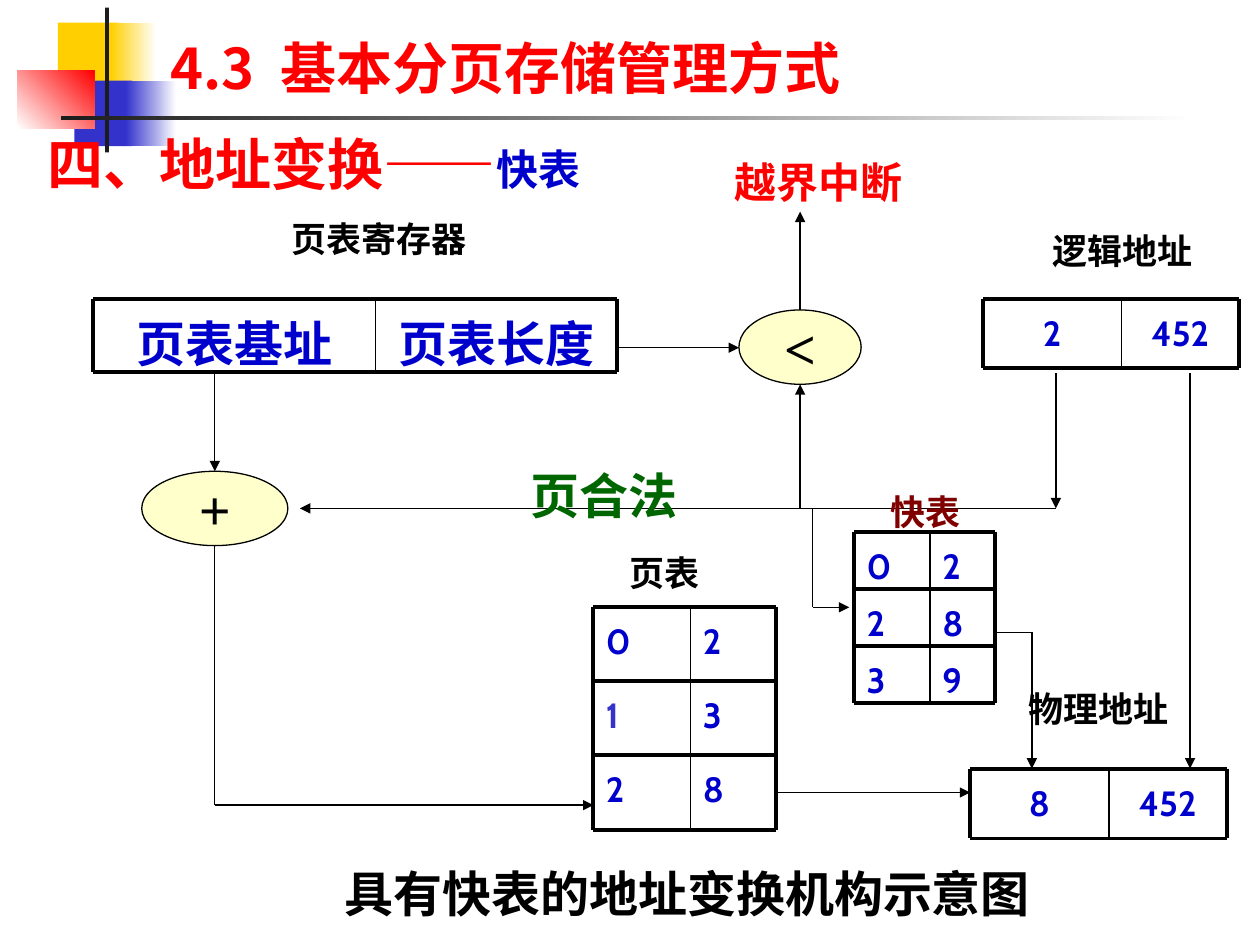
import itertools
import pptx
import pptx.util
import pptx.dml.color
import pptx.enum.shapes
import pptx.enum.text
import pptx.oxml

COLS = 100
THEME = {
    "black": "000000", "ink": "1C1C1C", "red": "FF0000", "blue": "0000CC",
    "indigo": "3333CC", "gold": "FFCF01", "cream": "FFFFCC", "green": "006600",
    "maroon": "800000", "white": "FFFFFF",
    "body": "Cabin", "serif": "Times New Roman", "cjk": "Noto Sans CJK SC",
    "small": 20, "medium": 24, "large": 28, "title": 32,
    "thick": 2.25, "thin": 1, "hair": 0.75,
}

DECOR = [
    ((4.6, 1.8, 4.8, 5.2), ["gold"], 0),
    ((8.8, 1.8, 3.6, 5.2), ["gold", "white"], 0),
    ((5.9, 6.4, 4.6, 5.2), ["indigo"], 0),
    ((10, 6.4, 4, 5.2), ["indigo", "white"], 0),
    ((1.4, 5.6, 6.1, 4.6), ["white", "red"], 45),
    ((8.35, 0.6, 0.3, 11.5), ["ink"], 0),
    ((4.85, 9.2, 90, 0.35), ["ink", "white"], 0),
]

GRIDS = [
    ((67.8, 42.2), (6, 5.2), 4.53, "small", "l", [["0", "2"], ["2", "8"], ["3", "9"]]),
    ((7.4, 23.7), (22.4, 19.2), 5.85, "large", "ctr", [["页表基址", "页表长度"]]),
    ((78, 23.7), (11, 9.35), 5.5, "small", "ctr", [["2", "452"]]),
    ((77, 61), (11, 9.35), 5.55, "small", "ctr", [["8", "452"]]),
    ((47.1, 48.2), (7.7, 6.8), 5.88, "small", "l", [["0", "2"], ["1", "3"], ["2", "8"]]),
]
CELL_COLOURS = {"1": "indigo"}

OPERATORS = [
    ((11.25, 37.4, 11.6, 5.9), "+"),
    ((58.65, 24.6, 9.7, 5.9), "<"),
]

ROUTES = [
    [(83.8, 29.6), (83.8, 40.35)],
    [(83.8, 40.35), (23.8, 40.35)],
    [(17.05, 29.6), (17.05, 37.4)],
    [(17.05, 43.3), (17.05, 63.9), (47.1, 63.9)],
    [(63.5, 40.35), (63.5, 30.5)],
    [(49, 27.6), (58.65, 27.6)],
    [(63.5, 24.6), (63.5, 16.8)],
    [(61.6, 62.9), (77, 62.9)],
    [(94.45, 29.6), (94.45, 61)],
    [(64.5, 40.35), (64.5, 48.2), (67.4, 48.2)],
    [(79, 50.2), (81.9, 50.2), (81.9, 61)],
]

LABELS = [
    ((17.45, 68.05, 74.2, 5.7), "ctr", "t", [("具有快表的地址变换机构示意图", "large", "body", "black")]),
    ((15.1, 16.8, 30, 4.3), "ctr", "t", [("页表寄存器", "small", "serif", "black")]),
    ((74.1, 17.75, 30, 4.3), "ctr", "t", [("逻辑地址", "small", "serif", "black")]),
    ((72.2, 54.1, 30, 4.3), "ctr", "t", [("物理地址", "small", "serif", "black")]),
    ((49.95, 11.9, 30, 5), "ctr", "t", [("越界中断", "medium", "serif", "red")]),
    ((39.25, 36.45, 15.5, 5.7), "r", "t", [("页合法", "large", "serif", "green")]),
    ((49, 43.3, 8.7, 4.3), "l", "t", [("页表", "small", "body", "black")]),
    ((69.7, 38.4, 8.4, 4.3), "l", "t", [("快表", "small", "body", "maroon")]),
    ((12.55, 1.1, 85.2, 7.4), "l", "b", [("4.3  基本分页存储管理方式", "title", "cjk", "red")]),
    ((2.8, 9.8, 91.5, 6.3), "l", "t", [("四、地址变换——", "title", "serif", "red"),
                                      ("快表", "medium", "body", "blue")]),
]

ALIGN = {"l": pptx.enum.text.PP_ALIGN.LEFT, "r": pptx.enum.text.PP_ALIGN.RIGHT,
         "ctr": pptx.enum.text.PP_ALIGN.CENTER}
ANCHOR = {"t": pptx.enum.text.MSO_ANCHOR.TOP, "b": pptx.enum.text.MSO_ANCHOR.BOTTOM}
SHAPES = pptx.enum.shapes.MSO_SHAPE
NS = 'xmlns:a="http://schemas.openxmlformats.org/drawingml/2006/main"'

prs = pptx.Presentation()
prs.slide_width = pptx.util.Inches(10)
prs.slide_height = pptx.util.Inches(7.5)
s = prs.slides.add_slide(prs.slide_layouts[6])


def grid(*cells):
    return [round(c * prs.slide_width / COLS) for c in cells]


def rgb(name):
    return pptx.dml.color.RGBColor.from_string(THEME[name])


def style(r, size, font, colour):
    r.font.size = pptx.util.Pt(THEME[size])
    r.font.name = THEME[font]
    r.font.color.rgb = rgb(colour)
    r.font.bold = True


def add_block(box, colours, angle):
    sp = s.shapes.add_shape(SHAPES.RECTANGLE, *grid(*box))
    sp.shadow.inherit = False
    sp.line.fill.background()
    if len(colours) == 1:
        sp.fill.solid()
        sp.fill.fore_color.rgb = rgb(colours[0])
    else:
        sp.fill.gradient()
        sp.fill.gradient_angle = angle
        for i, stop in enumerate(sp.fill.gradient_stops):
            stop.position = i
            stop.color.rgb = rgb(colours[i])


def add_line(start, end, width, arrow=False):
    line = s.shapes.add_connector(
        pptx.enum.shapes.MSO_CONNECTOR.STRAIGHT, *grid(*start, *end))
    line.line.width = pptx.util.Pt(THEME[width])
    line.line.color.rgb = rgb("black")
    if arrow:
        line.line._get_or_add_ln().append(
            pptx.oxml.parse_xml(f'<a:tailEnd {NS} type="triangle"/>'))
    line._element.spPr.append(pptx.oxml.parse_xml(f'<a:effectLst {NS}/>'))


def add_route(*points):
    for start, end in zip(points, points[1:]):
        add_line(start, end, "hair", end == points[-1])


def add_label(box, align, anchor, runs, spacing=None):
    tf = s.shapes.add_textbox(*grid(*box)).text_frame
    tf.word_wrap = True
    tf.vertical_anchor = ANCHOR[anchor]
    p = tf.paragraphs[0]
    p.alignment = ALIGN[align]
    p.line_spacing = spacing
    for text, *look in runs:
        r = p.add_run()
        r.text = text
        style(r, *look)


def add_grid(origin, widths, row_height, size, align, rows):
    xs = list(itertools.accumulate(widths, initial=origin[0]))
    ys = [origin[1] + row_height * i for i in range(len(rows) + 1)]
    for y, values in zip(ys, rows):
        for x, width, value in zip(xs, widths, values):
            look = (value, size, "body", CELL_COLOURS.get(value, "blue"))
            add_label((x, y, width, row_height), align, "t", [look], 1.15)
    for x in xs:
        add_line((x, ys[0]), (x, ys[-1]), "thick" if x in (xs[0], xs[-1]) else "thin")
    for y in ys:
        add_line((xs[0], y), (xs[-1], y), "thick")


def add_operator(box, symbol):
    sp = s.shapes.add_shape(SHAPES.OVAL, *grid(*box))
    sp.shadow.inherit = False
    sp.fill.solid()
    sp.fill.fore_color.rgb = rgb("cream")
    sp.line.color.rgb = rgb("black")
    sp.line.width = pptx.util.Pt(THEME["hair"])
    tf = sp.text_frame
    tf.text = symbol
    tf.word_wrap = False
    tf.vertical_anchor = pptx.enum.text.MSO_ANCHOR.MIDDLE
    tf.paragraphs[0].alignment = ALIGN["ctr"]
    style(tf.paragraphs[0].runs[0], "title", "serif", "black")


for add, items in ((add_block, DECOR), (add_grid, GRIDS), (add_operator, OPERATORS),
                   (add_route, ROUTES), (add_label, LABELS)):
    for item in items:
        add(*item)

prs.save("out.pptx")
